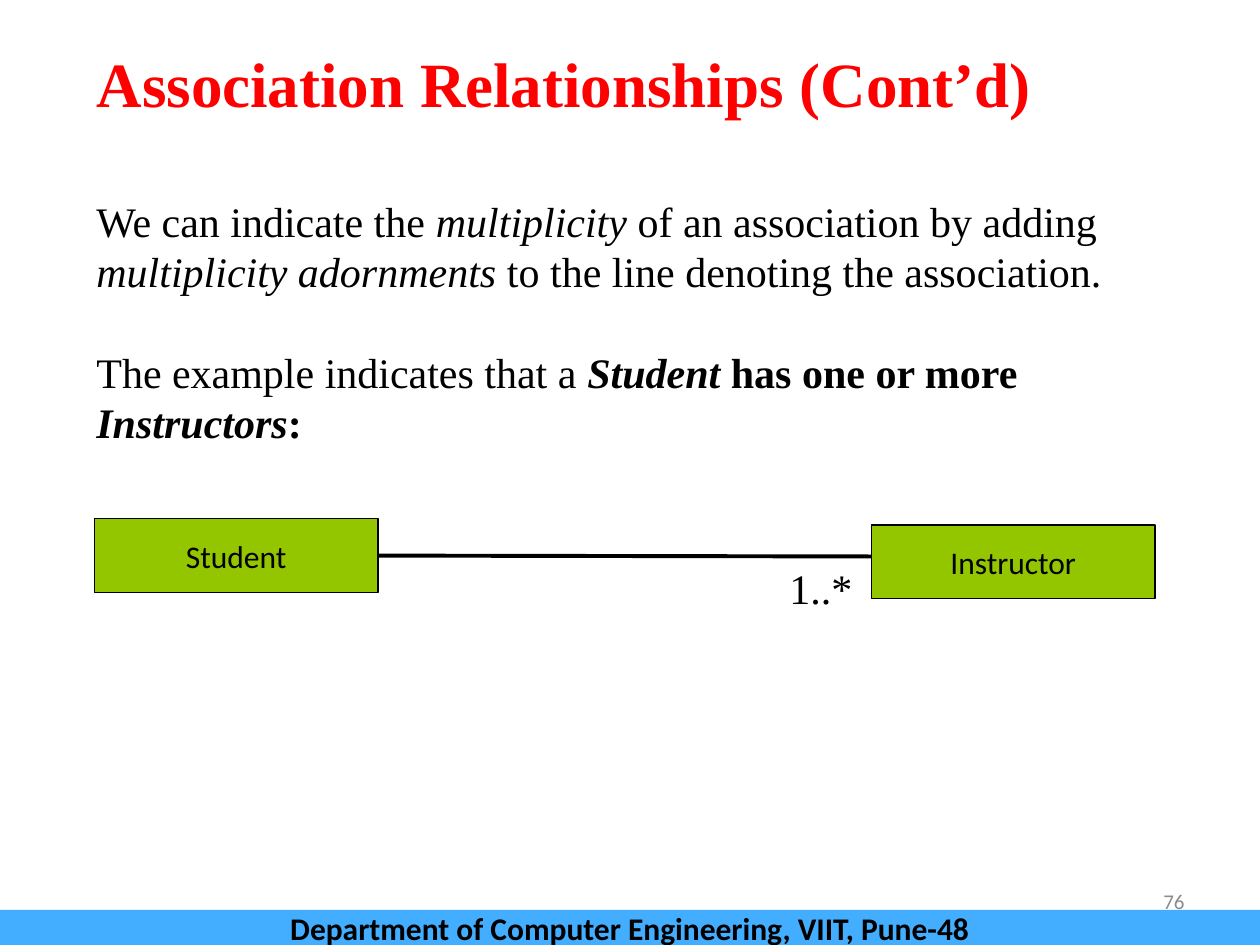
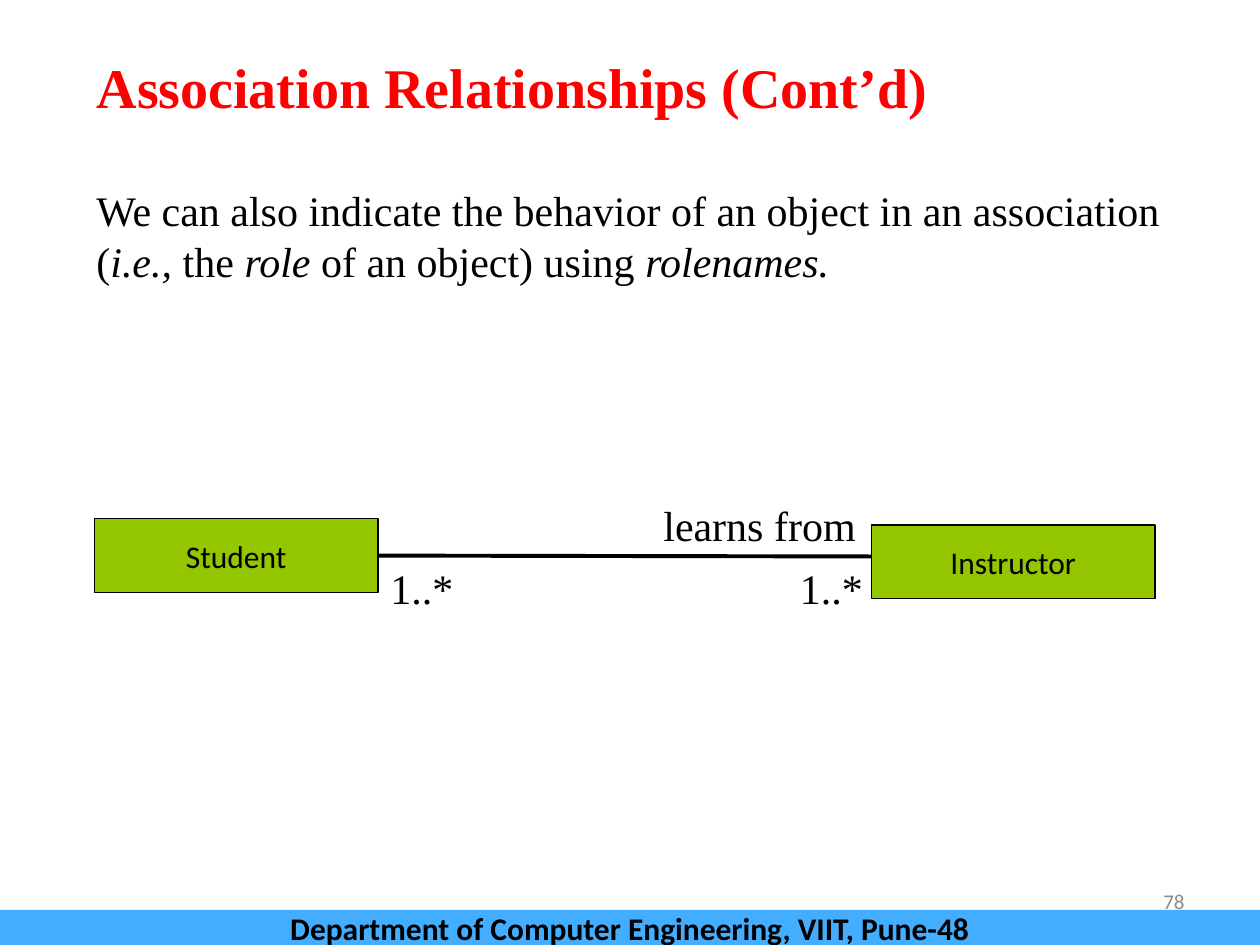
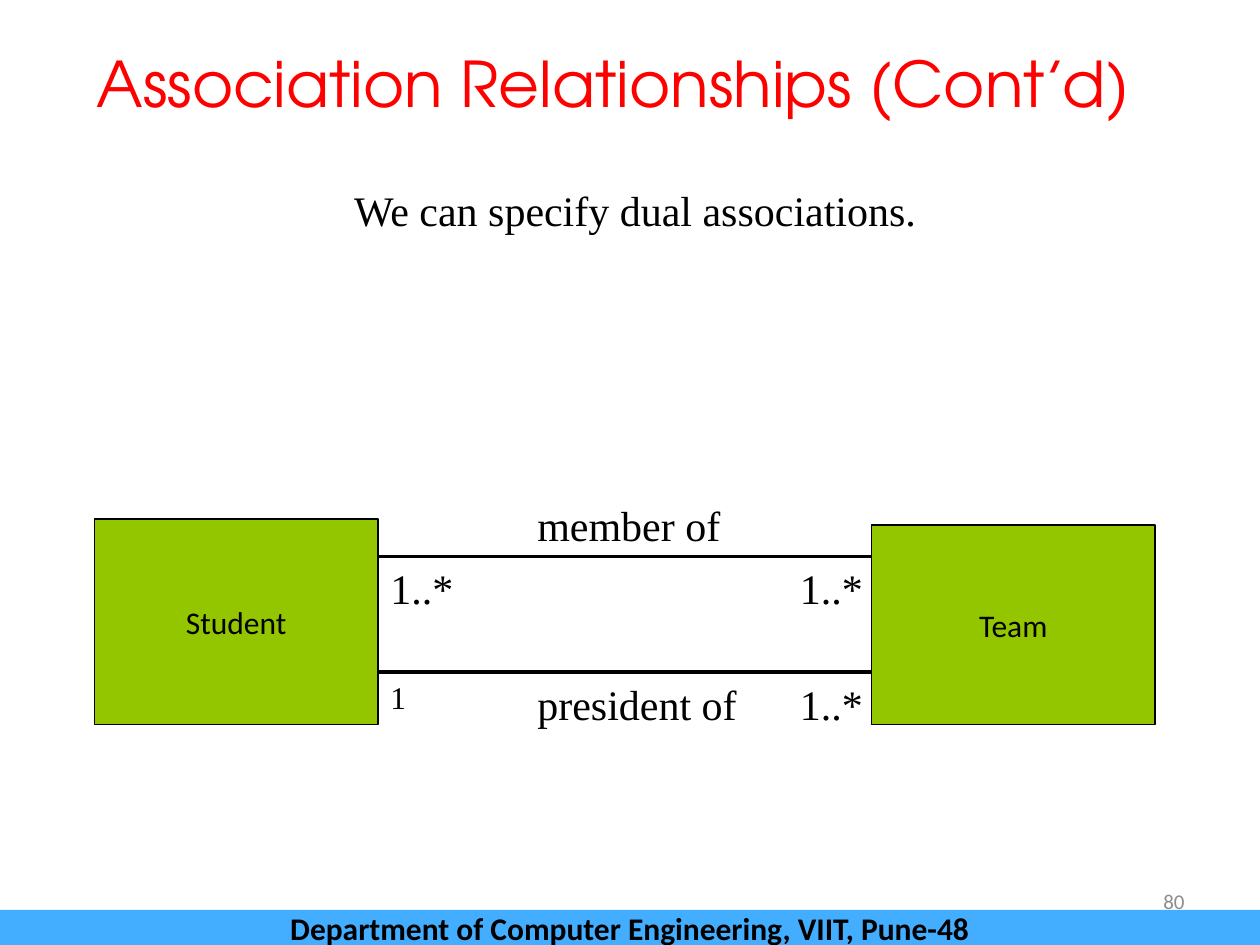
from pptx import Presentation
from pptx.dml.color import RGBColor
from pptx.enum.shapes import MSO_CONNECTOR, MSO_SHAPE
from pptx.enum.text import MSO_ANCHOR, MSO_AUTO_SIZE, PP_ALIGN
from pptx.oxml.ns import qn
from pptx.util import Pt

BLACK = RGBColor(0x00, 0x00, 0x00)
RED = RGBColor(0xFF, 0x00, 0x00)
GREEN = RGBColor(0x94, 0xC6, 0x00)
BLUE = RGBColor(0x43, 0xAE, 0xFF)
GRAY = RGBColor(0x8C, 0x8C, 0x8C)

SERIF, SANS, GEOMETRIC = "Times New Roman", "Calibri", "TeX Gyre Adventor"
LEFT, CENTER, RIGHT = PP_ALIGN.LEFT, PP_ALIGN.CENTER, PP_ALIGN.RIGHT
TOP, MIDDLE, BOTTOM = MSO_ANCHOR.TOP, MSO_ANCHOR.MIDDLE, MSO_ANCHOR.BOTTOM
RECTANGLE, STRAIGHT = MSO_SHAPE.RECTANGLE, MSO_CONNECTOR.STRAIGHT
NO_AUTOFIT = MSO_AUTO_SIZE.NONE
RIGHT_SIDE = 3

TITLE_ONLY = 5
SLIDE_WIDTH, SLIDE_HEIGHT = 720, 540
BAND_HEIGHT = 20
TITLE = "Association Relationships (Cont’d)"
DEPARTMENT = "Department of Computer Engineering, VIIT, Pune-48"
LINE_PITCH = 28.8

# Class diagram
CLASS_WIDTH, CLASS_HEIGHT = 162, 42
STUDENT_LEFT, STUDENT_TOP = 54, 296.5
PARTNER_LEFT, PARTNER_TOP = 498, 300
STUDENT_RIGHT = STUDENT_LEFT + CLASS_WIDTH
LINE_END = 504
LINE_Y, SECOND_LINE_Y = 318, 384
ROLE_Y = 282
MANY = "1..*"


def write_text(shape, text, *, size=24, font=SERIF, color=BLACK, bold=False,
               align=LEFT, anchor=TOP, wrap=True, pitch=None):
    """Write a string, or a list of paragraphs made of (text, style) spans."""
    frame = shape.text_frame
    frame.auto_size = NO_AUTOFIT
    frame.word_wrap = wrap
    frame.vertical_anchor = anchor
    paragraphs = [[(text, "")]] if isinstance(text, str) else text
    for index, spans in enumerate(paragraphs):
        para = frame.add_paragraph() if index else frame.paragraphs[0]
        para.alignment = align
        if pitch:
            para.line_spacing = Pt(pitch)
        if index:
            para.space_before = Pt(LINE_PITCH)
        for words, style in spans:
            span = para.add_run()
            span.text = words
            span.font.size = Pt(size)
            span.font.name = font
            span.font.color.rgb = color
            span.font.bold = bold or "b" in style
            span.font.italic = "i" in style


def add_text(page, left, top, width, height, text, **style):
    box = page.shapes.add_textbox(Pt(left), Pt(top), Pt(width), Pt(height))
    write_text(box, text, **style)


def add_box(page, left, top, width, height, text, fill, outlined=True, **style):
    box = page.shapes.add_shape(RECTANGLE, Pt(left), Pt(top), Pt(width), Pt(height))
    box.shadow.inherit = False
    box.fill.solid()
    box.fill.fore_color.rgb = fill
    if outlined:
        box.line.color.rgb = BLACK
        box.line.width = Pt(0.75)
    else:
        box.line.fill.background()
    write_text(box, text, size=18, font=SANS, align=CENTER, anchor=MIDDLE, **style)
    return box


def add_line(page, y, end=LINE_END):
    line = page.shapes.add_connector(STRAIGHT, Pt(STUDENT_RIGHT), Pt(y), Pt(end), Pt(y))
    line.line.color.rgb = BLACK
    line.line.width = Pt(2.25)
    properties = line._element.spPr
    properties.append(properties.makeelement(qn("a:effectLst"), {}))
    return line


def add_classes(page, partner, bottom=None):
    """Draw Student and its partner class; return the Student box."""
    boxes = []
    for name, left, top in ((partner, PARTNER_LEFT, PARTNER_TOP),
                            ("Student", STUDENT_LEFT, STUDENT_TOP)):
        height = bottom - top if bottom else CLASS_HEIGHT
        boxes.append(add_box(page, left, top, CLASS_WIDTH, height, name, GREEN, wrap=False))
    return boxes[1]


def add_label(page, left, top, text=MANY, width=54, size=24):
    add_text(page, left, top, width, 36, text, size=size)


def add_page(deck, number, size=36, font=SERIF, bold=True):
    """Add a page with its title, page number and footer band."""
    page = deck.slides.add_slide(deck.slide_layouts[TITLE_ONLY])
    title = page.shapes.title
    title.left, title.top, title.width, title.height = Pt(48), Pt(30), Pt(642), Pt(42)
    write_text(title, TITLE, size=size, font=font, color=RED, bold=bold, anchor=BOTTOM)
    add_text(page, 516, 500.5, 168, 28.75, number, size=12, font=SANS, color=GRAY,
             align=RIGHT, anchor=MIDDLE)
    add_box(page, 0, SLIDE_HEIGHT - BAND_HEIGHT, SLIDE_WIDTH, BAND_HEIGHT, DEPARTMENT,
            BLUE, outlined=False, bold=True)
    return page


def add_multiplicity_page(deck):
    page = add_page(deck, "76")
    add_text(page, 48, 108, 638.5, 152.5, [
        [("We can indicate the ", ""), ("multiplicity", "i"),
         (" of an association by adding ", ""), ("multiplicity adornments", "i"),
         (" to the line denoting the association.", "")],
        [("The example indicates that a ", ""), ("Student", "bi"),
         (" has one or more ", "b"), ("Instructors", "bi"), (":", "b")],
    ], pitch=LINE_PITCH)
    line = add_line(page, LINE_Y)
    line.begin_connect(add_classes(page, "Instructor"), RIGHT_SIDE)
    add_label(page, 444, LINE_Y)


def add_role_page(deck):
    page = add_page(deck, "78", size=32)
    add_text(page, 48, 102, 638.5, 65, [
        [("We can also indicate the behavior of an object in an association (", ""),
         ("i.e.,", "i"), (" the ", ""), ("role ", "i"),
         ("of an object) using ", ""), ("rolenames.", "i")],
    ], pitch=LINE_PITCH)
    line = add_line(page, LINE_Y)
    line.begin_connect(add_classes(page, "Instructor"), RIGHT_SIDE)
    for left in (STUDENT_RIGHT, 450):
        add_label(page, left, LINE_Y)
    add_label(page, 372, ROLE_Y, "learns from", width=126)


def add_dual_page(deck):
    page = add_page(deck, "80", font=GEOMETRIC, bold=False)
    add_text(page, 54, 102, 618, 36, "We can specify dual associations.",
             align=CENTER, pitch=LINE_PITCH)
    add_line(page, LINE_Y)
    add_classes(page, "Team", bottom=414)
    add_line(page, SECOND_LINE_Y, end=PARTNER_LEFT)
    for top, role_top, student_count, size in ((LINE_Y, ROLE_Y, MANY, 24),
                                               (SECOND_LINE_Y, SECOND_LINE_Y, "1", 18)):
        add_label(page, 300, role_top, "member of" if top == LINE_Y else "president of", width=138)
        add_label(page, STUDENT_RIGHT, top, student_count, size=size)
        add_label(page, 450, top)


def main():
    deck = Presentation()
    deck.slide_width, deck.slide_height = Pt(SLIDE_WIDTH), Pt(SLIDE_HEIGHT)
    add_multiplicity_page(deck)
    add_role_page(deck)
    add_dual_page(deck)
    deck.save("out.pptx")


if __name__ == "__main__":
    main()
